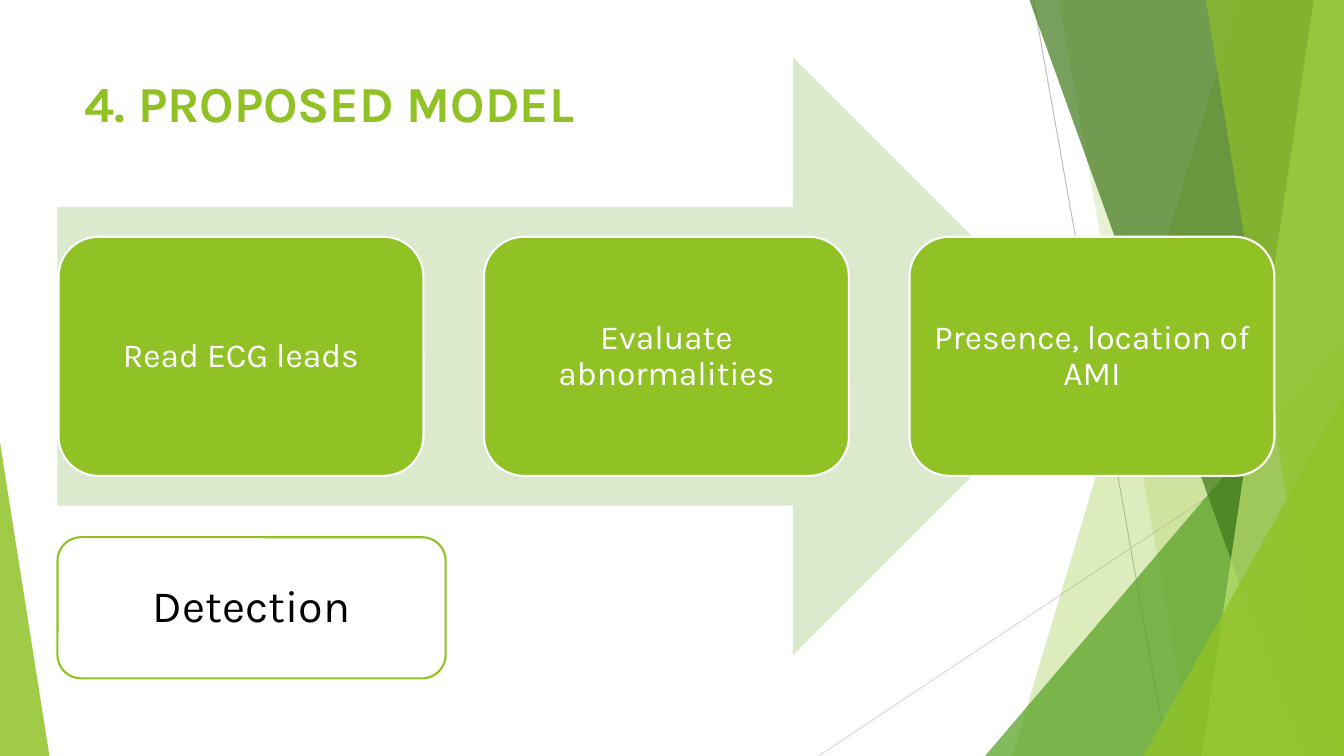
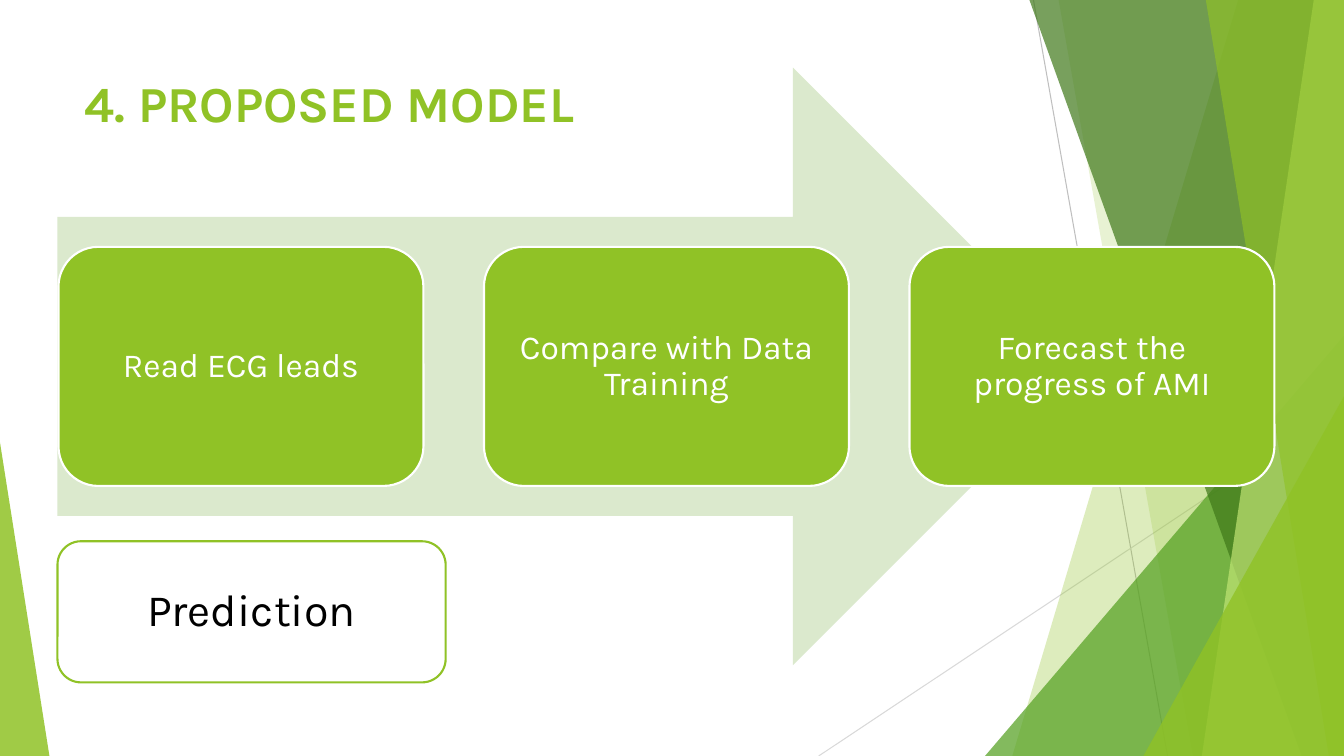
from lxml import etree
from pptx import Presentation
from pptx import util as u
from pptx.dml.color import RGBColor
from pptx.enum import shapes, text
from pptx.oxml.ns import qn

W, H = 13.33, 7.5
FONT = "Karla"
COLORS = {
    "lime": "90C226", "green": "54A021", "forest": "3F7819", "pale": "C0E474",
    "mist": "DBE9CD", "white": "FFFFFF", "black": "000000",
    "gray": "BFBFBF", "light_gray": "D9D9D9",
}
TITLE = "4. PROPOSED MODEL"
MARGIN = 0.57
ARROW_W, ARROW_H = 10.26, 5.93
STEP_LEFT, STEP_W, STEP_PITCH = 0.58, 3.62, 4.22

SLIDES = [
    {"arrow_top": 0.57, "label_top": 5.33, "label": "Detection",
     "steps": ["Read ECG leads", "Evaluate abnormalities",
               "Presence, location of AMI"]},
    {"arrow_top": 0.67, "label_top": 5.37, "label": "Prediction",
     "steps": ["Read ECG leads", "Compare with Data Training",
               "Forecast the progress of AMI"]},
]


def rgb(name):
    return RGBColor.from_string(COLORS[name])


def set_format(obj, values):
    for name, value in values.items():
        setattr(obj, name, value)


def paint(sp, fill, opacity=100, line=None):
    """Fill a shape, with an optional opacity in percent and an outline."""
    sp.shadow.inherit = False
    sp.fill.solid()
    sp.fill.fore_color.rgb = rgb(fill)
    if opacity < 100:
        color = sp.element.spPr.find(qn("a:solidFill"))[0]
        etree.SubElement(color, qn("a:alpha"), val=str(opacity * 1000))
    if line:
        sp.line.color.rgb = rgb(line)
        sp.line.width = u.Pt(1.5)
    else:
        sp.line.fill.background()


def add_preset(slide, kind, box, fill, opacity=100, line=None):
    sp = slide.shapes.add_shape(kind, *map(u.Inches, box))
    paint(sp, fill, opacity, line)
    return sp


def write(sp, content, size, color, frame, paragraph, bold=False):
    tf = sp.text_frame
    set_format(tf, {"word_wrap": True, **frame})
    p = tf.paragraphs[0]
    set_format(p, paragraph)
    r = p.add_run()
    r.text = content
    set_format(r.font, {"name": FONT, "size": u.Pt(size), "bold": bold})
    r.font.color.rgb = rgb(color)


def add_hairline(slide, start, end, color):
    line = slide.shapes.add_connector(
        shapes.MSO_CONNECTOR.STRAIGHT, *map(u.Inches, start + end))
    line.line.color.rgb = rgb(color)
    line.line.width = u.Pt(0.75)
    etree.SubElement(line.element.spPr, qn("a:effectLst"))


def add_band(slide, top_x, bottom_x, color, opacity):
    """Slanted edge from the top to the bottom, filled to the right side."""
    corners = [(top_x, 0), (W, 0), (W, H), (bottom_x, H)]
    points = [(u.Inches(x), u.Inches(y)) for x, y in corners]
    builder = slide.shapes.build_freeform(*points[0])
    builder.add_line_segments(points[1:], close=True)
    paint(builder.convert_to_shape(), color, opacity)


def add_corner(slide, left, top, width, apex, color, opacity):
    """Right triangle standing on the bottom edge; apex 0 left, 1 right."""
    sp = add_preset(slide, shapes.MSO_SHAPE.ISOSCELES_TRIANGLE,
                    (left, top, width, H - top), color, opacity)
    sp.adjustments[0] = apex


def add_decoration(slide):
    add_hairline(slide, (10.25, 0), (11.58, H), "gray")
    add_hairline(slide, (W, 4.03), (8.12, H), "light_gray")
    add_band(slide, 12.28, 10.04, "lime", 30)
    add_band(slide, 10.5, 11.83, "lime", 20)
    add_corner(slide, 9.77, 3.33, 3.56, 1, "green", 72)
    add_band(slide, 10.21, 12.91, "forest", 70)
    add_band(slide, 13.03, 11.92, "pale", 70)
    add_band(slide, 11.96, 13.18, "lime", 65)
    add_corner(slide, 11.34, 3.93, 1.99, 1, "lime", 80)
    add_corner(slide, 0, 4.39, 0.49, 0, "lime", 85)


def add_title(slide):
    sp = slide.shapes.add_textbox(*map(u.Inches, (0.74, 0.67, 9.4, 1.44)))
    write(sp, TITLE, 36, "lime", {}, {}, bold=True)


def add_card(slide, box, content, size, color, inset, **look):
    """Rounded rectangle with centred text."""
    sp = add_preset(slide, shapes.MSO_SHAPE.ROUNDED_RECTANGLE, box, **look)
    sides = ("left", "top", "right", "bottom")
    frame = {f"margin_{side}": u.Inches(inset) for side in sides}
    frame["vertical_anchor"] = text.MSO_ANCHOR.MIDDLE
    write(sp, content, size, color, frame,
          {"alignment": text.PP_ALIGN.CENTER, "line_spacing": 0.9})


def add_process(slide, top, steps):
    """Wide arrow with the steps in a row across its middle."""
    add_preset(slide, shapes.MSO_SHAPE.RIGHT_ARROW,
               (MARGIN, top, ARROW_W, ARROW_H), "mist")
    for i, step in enumerate(steps):
        box = (STEP_LEFT + i * STEP_PITCH, top + 0.3 * ARROW_H,
               STEP_W, 0.4 * ARROW_H)
        add_card(slide, box, step, 24, "white", 0.1, fill="lime", line="white")


def main():
    prs = Presentation()
    set_format(prs, {"slide_width": u.Inches(W), "slide_height": u.Inches(H)})
    for model in SLIDES:
        slide = prs.slides.add_slide(prs.slide_layouts[6])
        add_decoration(slide)
        add_title(slide)
        add_process(slide, model["arrow_top"], model["steps"])
        add_card(slide, (MARGIN, model["label_top"], 3.85, 1.4),
                 model["label"], 32, "black", 0.13,
                 fill="white", opacity=90, line="lime")
    prs.save("out.pptx")


if __name__ == "__main__":
    main()
